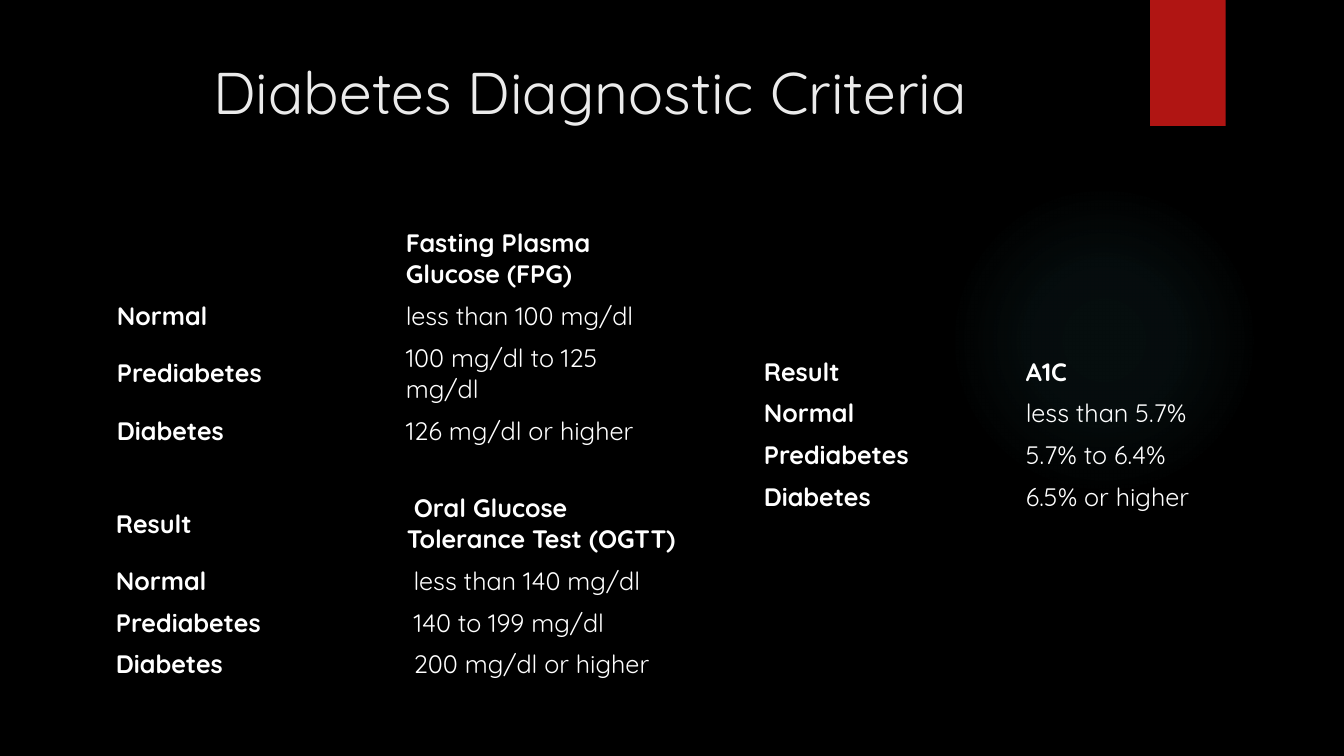
from lxml import etree
from pptx import Presentation
from pptx.dml.color import RGBColor
from pptx.enum.shapes import MSO_SHAPE
from pptx.enum.text import MSO_ANCHOR, MSO_AUTO_SIZE, PP_ALIGN
from pptx.oxml import parse_xml
from pptx.oxml.ns import nsdecls, qn
from pptx.util import Pt

OVAL, RECT = MSO_SHAPE.OVAL, MSO_SHAPE.RECTANGLE
TOP, MIDDLE = MSO_ANCHOR.TOP, MSO_ANCHOR.MIDDLE
CENTER, NO_FIT = PP_ALIGN.CENTER, MSO_AUTO_SIZE.NONE

BLACK = RGBColor(0x00, 0x00, 0x00)
WHITE = RGBColor(0xFF, 0xFF, 0xFF)
PALE = RGBColor(0xEB, 0xEB, 0xEB)
RED = RGBColor(0xB0, 0x15, 0x13)
TEAL = RGBColor(0x50, 0xB9, 0xC1)

FACE = "Quicksand"
PLAIN_STYLE = "{2D5ABB26-0587-4C30-8999-92F81FD0307C}"
LINE, PAD = 22.5, 7.2  # text line and cell padding heights
GLOW = ((0, 7), (36, 6), (69, 0))  # stop and opacity, percent

FASTING = (
    ("", "Fasting Plasma Glucose (FPG)"),
    ("Normal", "less than 100 mg/dl"),
    ("Prediabetes", "100 mg/dl to 125 mg/dl"),
    ("Diabetes", "126 mg/dl or higher"),
)
ORAL = (
    ("Result", "\u00a0Oral Glucose Tolerance Test (OGTT)"),
    ("Normal", "\u00a0less than 140 mg/dl"),
    ("Prediabetes", "\u00a0140\u00a0to 199 mg/dl"),
    ("Diabetes", "\u00a0200 mg/dl or higher"),
)
A1C = (
    ("Result", "A1C"),
    ("Normal", "less than 5.7%"),
    ("Prediabetes", "5.7% to 6.4%"),
    ("Diabetes", "6.5% or higher"),
)


def style(item, form):
    """Set every value of a format dict on an item."""
    for name, value in form.items():
        setattr(item, name, value)


def ink(font, size, color, bold):
    """Format a font."""
    style(font, {"name": FACE, "size": Pt(size), "bold": bold})
    font.color.rgb = color


def add_form(slide, kind, box, color):
    """Add a plain filled shape without line or shadow."""
    form = slide.shapes.add_shape(kind, *map(Pt, box))
    form.shadow.inherit = False
    form.fill.solid()
    form.fill.fore_color.rgb = color
    form.line.fill.background()
    return form


def add_glow(slide, box):
    """Add a round glow that fades out from its centre."""
    props = add_form(slide, OVAL, box, TEAL)._element.spPr
    stops = "".join(
        f'<a:gs pos="{pos * 1000}"><a:srgbClr val="{TEAL}">'
        f'<a:alpha val="{alpha * 1000}"/></a:srgbClr></a:gs>'
        for pos, alpha in GLOW
    )
    fade = parse_xml(
        f'<a:gradFill {nsdecls("a")}><a:gsLst>{stops}</a:gsLst>'
        '<a:path path="circle"><a:fillToRect l="50000" t="50000" '
        'r="50000" b="50000"/></a:path></a:gradFill>'
    )
    props.replace(props.find(qn("a:solidFill")), fade)


def add_title(slide, box, text):
    """Place and format the title."""
    title = slide.shapes.title
    left, top, width, height = map(Pt, box)
    style(title, {"left": left, "top": top, "width": width, "height": height})
    frame = title.text_frame
    style(frame, {"text": text, "vertical_anchor": TOP,
                  "word_wrap": True, "auto_size": NO_FIT})
    para = frame.paragraphs[0]
    para.alignment = CENTER
    ink(para.runs[0].font, 42, PALE, False)


def add_grid(slide, box, rows, tall=()):
    """Add a clear two-column table; tall rows hold two lines."""
    left, top, width = box
    highs = [PAD + LINE * (2 if i in tall else 1) for i in range(len(rows))]
    grid = slide.shapes.add_table(
        len(rows), 2, Pt(left), Pt(top), Pt(width), Pt(sum(highs))
    ).table
    props = grid._tbl.tblPr
    props.find(qn("a:tableStyleId")).text = PLAIN_STYLE
    grid.horz_banding = False
    for i, (row, high) in enumerate(zip(rows, highs)):
        grid.rows[i].height = Pt(high)
        for j, text in enumerate(row):
            cell = grid.cell(i, j)
            style(cell, {"text": text, "vertical_anchor": MIDDLE})
            cell.fill.background()
            ink(cell.text_frame.paragraphs[0].font, 18, WHITE,
                i == 0 or j == 0)
            for run in cell.text_frame.paragraphs[0].runs:
                ink(run.font, 18, WHITE, i == 0 or j == 0)


def build(deck):
    """Build the criteria slide."""
    slide = deck.slides.add_slide(deck.slide_layouts[5])
    slide.background.fill.solid()
    slide.background.fill.fore_color.rgb = BLACK
    add_glow(slide, (677.5, 131.8, 221.8, 221.8))
    add_form(slide, RECT, (821.5, 0, 54, 90), RED)
    add_title(slide, (51, 36, 741, 90), "Diabetes Diagnostic Criteria")
    add_grid(slide, (76.3, 158.4, 412.8), FASTING, (0, 2))
    add_grid(slide, (75.6, 347.8, 415.6), ORAL, (0,))
    add_grid(slide, (538.4, 250.6, 374.4), A1C)


deck = Presentation()
style(deck, {"slide_width": Pt(960), "slide_height": Pt(540)})
build(deck)
deck.save("out.pptx")
